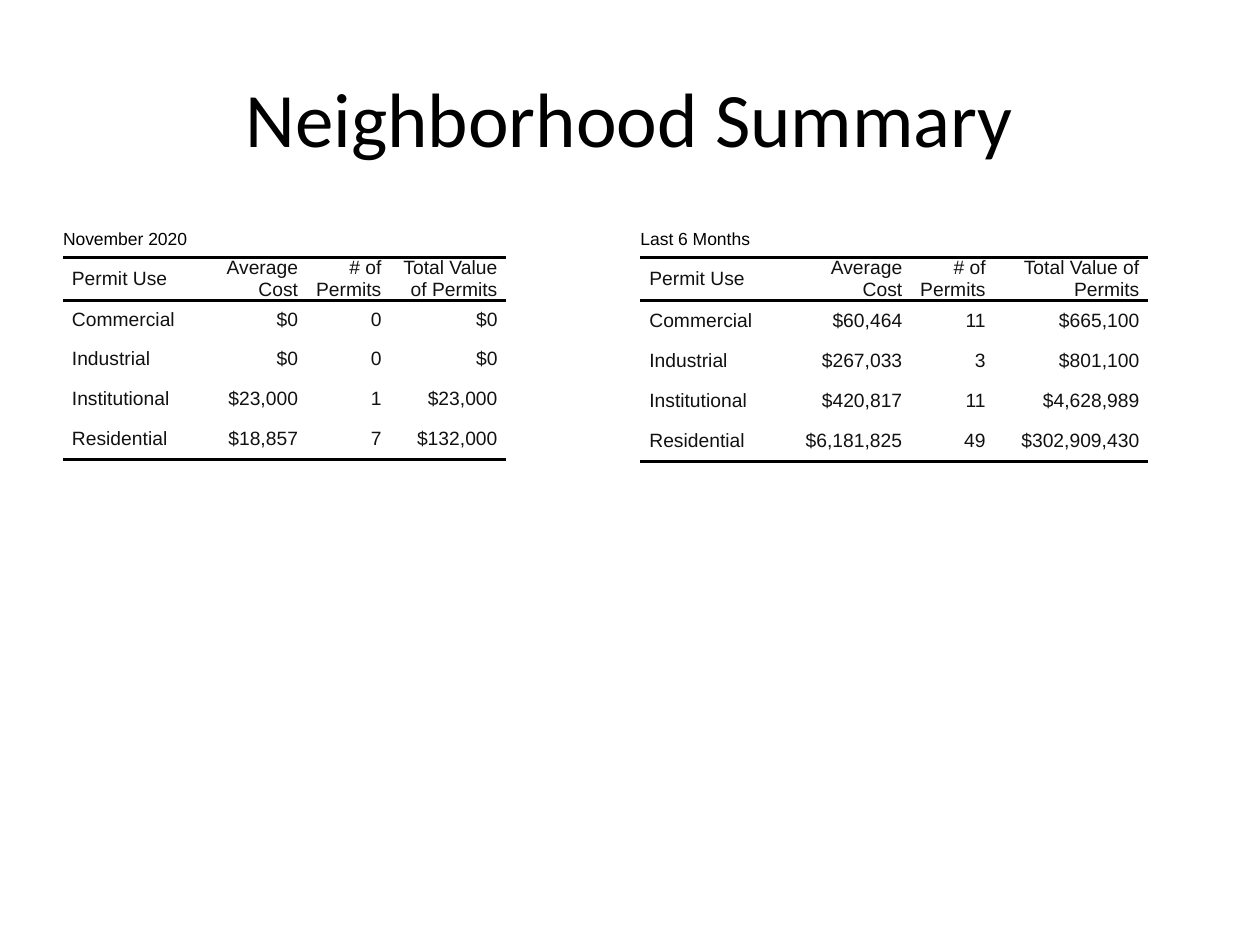
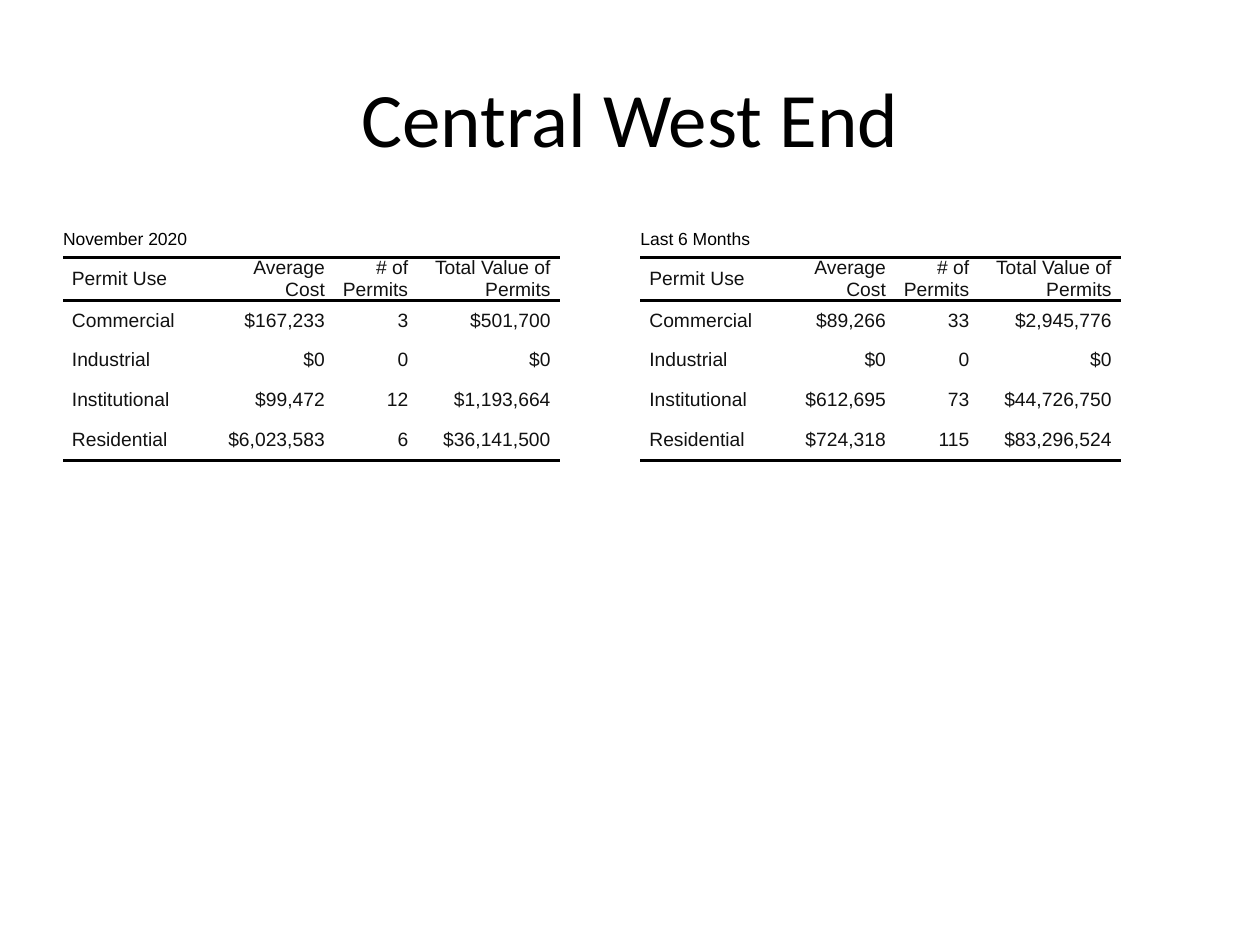
from lxml import etree
from pptx import Presentation
from pptx.dml.color import RGBColor
from pptx.enum.text import MSO_ANCHOR, PP_ALIGN
from pptx.oxml.ns import qn
from pptx.util import Cm, Pt

MIDDLE = MSO_ANCHOR.MIDDLE
LEFT, CENTER, RIGHT = PP_ALIGN.LEFT, PP_ALIGN.CENTER, PP_ALIGN.RIGHT

# Content: (permit use, average cost, number of permits, total value)
HEADINGS = ("Permit Use", "Average Cost", "# of Permits", "Total Value of Permits")
PERIODS = ("November 2020", "Last 6 Months")
NEIGHBORHOODS = [
    {"title": "Neighborhood Summary", "periods": [
        {"cost_and_total_widths": (2.13, 2.34), "row_heights": (0.79, 0.79, 0.81, 0.81),
         "permits": [("Commercial", "$0", "0", "$0"),
                     ("Industrial", "$0", "0", "$0"),
                     ("Institutional", "$23,000", "1", "$23,000"),
                     ("Residential", "$18,857", "7", "$132,000")]},
        {"cost_and_total_widths": (2.67, 3.1), "row_heights": (0.81, 0.81, 0.81, 0.81),
         "permits": [("Commercial", "$60,464", "11", "$665,100"),
                     ("Industrial", "$267,033", "3", "$801,100"),
                     ("Institutional", "$420,817", "11", "$4,628,989"),
                     ("Residential", "$6,181,825", "49", "$302,909,430")]},
    ]},
    {"title": "Central West End", "periods": [
        {"cost_and_total_widths": (2.67, 2.87), "row_heights": (0.81, 0.79, 0.81, 0.81),
         "permits": [("Commercial", "$167,233", "3", "$501,700"),
                     ("Industrial", "$0", "0", "$0"),
                     ("Institutional", "$99,472", "12", "$1,193,664"),
                     ("Residential", "$6,023,583", "6", "$36,141,500")]},
        {"cost_and_total_widths": (2.34, 2.87), "row_heights": (0.81, 0.79, 0.81, 0.81),
         "permits": [("Commercial", "$89,266", "33", "$2,945,776"),
                     ("Industrial", "$0", "0", "$0"),
                     ("Institutional", "$612,695", "73", "$44,726,750"),
                     ("Residential", "$724,318", "115", "$83,296,524")]},
    ]},
]

# Shared look
BLACK, INK = "000000", "111111"
TITLE_FONT, TABLE_FONT = "Calibri", "Arial"
MARGIN, TITLE_TOP, TITLE_WIDTH, TITLE_HEIGHT = 1.27, 0.76, 22.86, 3.18
TABLE_LEFTS, TABLE_TOP = (MARGIN, 12.91), 4.45
USE_WIDTH, COUNT_WIDTH = 2.79, 1.68
TOP_ROW_HEIGHT = 0.74
CELL_INDENT = Cm(0.18)
RULE_WIDTH = Pt(2)
NO_GRID_STYLE = "{2D5ABB26-0587-4C30-8999-92F81FD0307C}"


def rgb(hex_color):
    return RGBColor.from_string(hex_color)


def write(paragraph, text, size, color, font, align):
    paragraph.alignment = align
    run = paragraph.add_run()
    run.text = text
    run.font.size = Pt(size)
    run.font.name = font
    run.font.color.rgb = rgb(color)


def add_rules(cell, sides):
    """Draw black rules on the given sides ("T", "B") of a cell."""
    properties = cell._tc.get_or_add_tcPr()
    for position, side in enumerate(sides):
        rule = etree.Element(qn("a:ln" + side), w=str(RULE_WIDTH))
        fill = etree.SubElement(rule, qn("a:solidFill"))
        etree.SubElement(fill, qn("a:srgbClr"), val=BLACK)
        properties.insert(position, rule)


def fill_cell(cell, text, size, color, align, indent=0):
    cell.margin_left = cell.margin_right = cell.margin_top = cell.margin_bottom = 0
    cell.vertical_anchor = MIDDLE
    cell.fill.background()
    paragraph = cell.text_frame.paragraphs[0]
    write(paragraph, text, size, color, TABLE_FONT, align)
    if indent:
        paragraph_properties = paragraph._p.get_or_add_pPr()
        for attribute in ("marL", "marR"):
            paragraph_properties.set(attribute, str(indent))


def add_permit_table(slide, left, caption, period):
    cost_width, total_width = period["cost_and_total_widths"]
    widths = (USE_WIDTH, cost_width, COUNT_WIDTH, total_width)
    heights = (TOP_ROW_HEIGHT, TOP_ROW_HEIGHT, *period["row_heights"])
    frame = slide.shapes.add_table(len(heights), len(widths), Cm(left), Cm(TABLE_TOP),
                                   Cm(sum(widths)), Cm(sum(heights)))
    table = frame.table
    table.first_row = table.horz_banding = False
    table._tbl.tblPr.find(qn("a:tableStyleId")).text = NO_GRID_STYLE
    for column, width in zip(table.columns, widths):
        column.width = Cm(width)
    for row, height in zip(table.rows, heights):
        row.height = Cm(height)

    # Caption across the first row
    caption_cell = table.cell(0, 0)
    caption_cell.merge(table.cell(0, len(widths) - 1))
    fill_cell(caption_cell, caption, 10, BLACK, LEFT)

    # Headings and permit rows
    lines = [HEADINGS, *period["permits"]]
    rules = {1: "TB", len(lines): "B"}
    for row, line in enumerate(lines, start=1):
        for column, text in enumerate(line):
            cell = table.cell(row, column)
            fill_cell(cell, text, 11, INK, RIGHT if column else LEFT, CELL_INDENT)
            add_rules(cell, rules.get(row, ""))


def add_neighborhood(deck, neighborhood):
    slide = deck.slides.add_slide(deck.slide_layouts[5])
    title = slide.shapes.title
    title.left, title.top = Cm(MARGIN), Cm(TITLE_TOP)
    title.width, title.height = Cm(TITLE_WIDTH), Cm(TITLE_HEIGHT)
    title.text_frame.vertical_anchor = MIDDLE
    write(title.text_frame.paragraphs[0], neighborhood["title"], 44, BLACK, TITLE_FONT, CENTER)
    for left, caption, period in zip(TABLE_LEFTS, PERIODS, neighborhood["periods"]):
        add_permit_table(slide, left, caption, period)


def main():
    deck = Presentation()
    deck.slide_width, deck.slide_height = Cm(25.4), Cm(19.05)
    for neighborhood in NEIGHBORHOODS:
        add_neighborhood(deck, neighborhood)
    deck.save("out.pptx")


if __name__ == "__main__":
    main()
